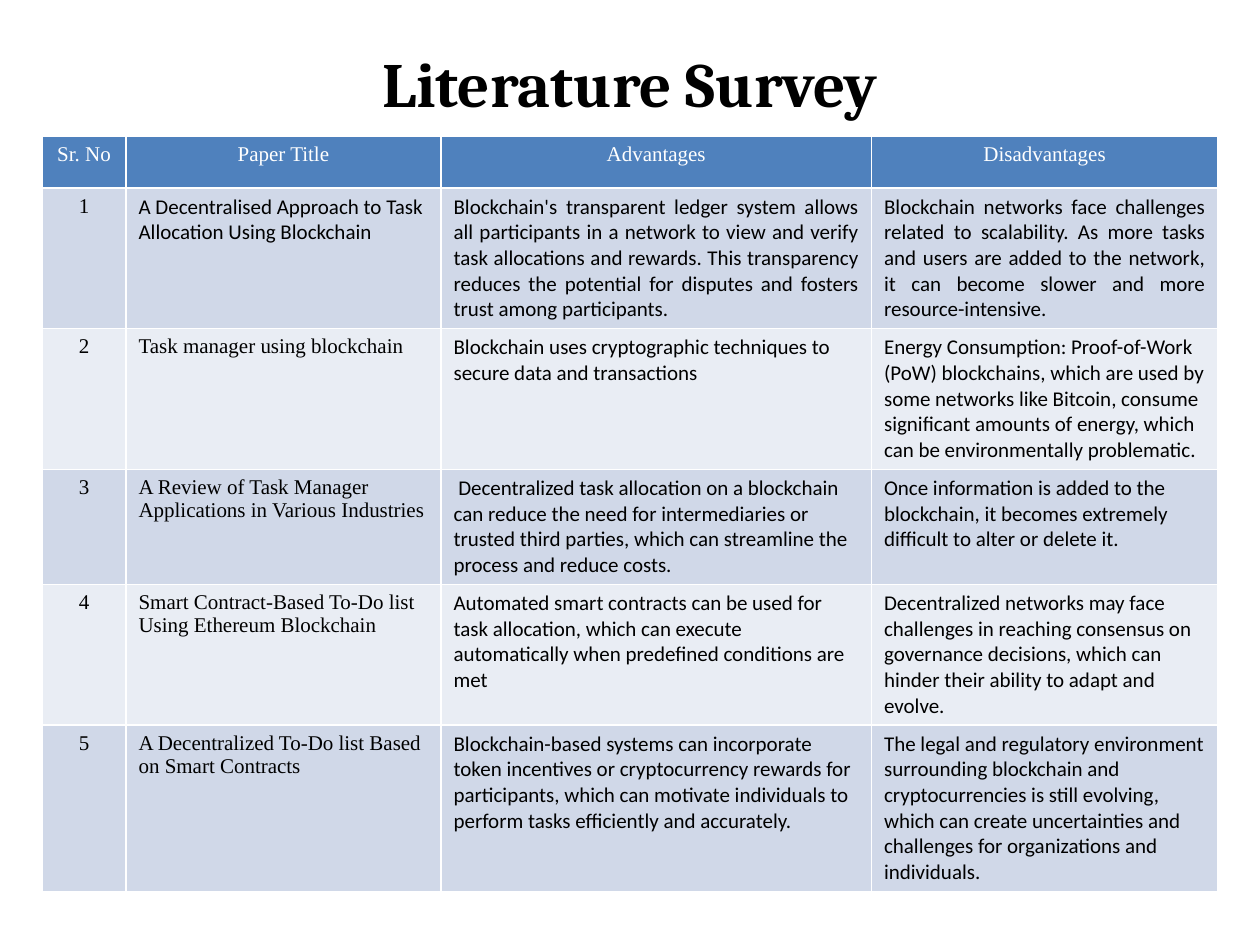
from dataclasses import dataclass

from pptx import Presentation
from pptx.dml.color import RGBColor
from pptx.enum.text import MSO_ANCHOR, PP_ALIGN as Align
from pptx.util import Pt

SERIF = "Times New Roman"
SANS = "Calibri"
BLACK = "000000"
WHITE = "FFFFFF"
HEADER_FILL = "4F81BD"
BAND_FILLS = ("D0D8E8", "E9EDF4")

HEADERS = ("Sr. No", "Paper Title", "Advantages", "Disadvantages")
COLUMN_WIDTHS = (48, 180, 246, 198)
ROW_HEIGHT = 29.5


@dataclass
class Paper:
    title: str
    advantages: tuple[str, ...]
    disadvantages: str
    title_font: str = SERIF
    review_align: Align = Align.LEFT


PAPERS = (
    Paper(
        "A Decentralised Approach to Task Allocation Using Blockchain",
        ("Blockchain's transparent ledger system allows all participants in a network "
         "to view and verify task allocations and rewards. This transparency reduces "
         "the potential for disputes and fosters trust among participants.",),
        "Blockchain networks face challenges related to scalability. As more tasks and "
        "users are added to the network, it can become slower and more "
        "resource-intensive.",
        title_font=SANS,
        review_align=Align.JUSTIFY,
    ),
    Paper(
        "Task manager using blockchain",
        ("Blockchain uses cryptographic techniques to secure data and transactions",),
        "Energy Consumption: Proof-of-Work (PoW) blockchains, which are used by some "
        "networks like Bitcoin, consume significant amounts of energy, which can be "
        "environmentally problematic.",
    ),
    Paper(
        "A Review of Task Manager Applications in Various Industries",
        (" ",
         "Decentralized task allocation on a blockchain can reduce the need for "
         "intermediaries or trusted third parties, which can streamline the process "
         "and reduce costs."),
        "Once information is added to the blockchain, it becomes extremely difficult "
        "to alter or delete it.",
    ),
    Paper(
        "Smart Contract-Based To-Do list Using Ethereum Blockchain",
        ("Automated smart contracts can be used for task allocation, which can execute "
         "automatically when predefined conditions are met",),
        "Decentralized networks may face challenges in reaching consensus on "
        "governance decisions, which can hinder their ability to adapt and evolve.",
    ),
    Paper(
        "A Decentralized To-Do list Based on Smart Contracts",
        ("Blockchain-based systems can incorporate token incentives or cryptocurrency "
         "rewards for participants, which can motivate individuals to perform tasks "
         "efficiently and accurately.",),
        "The legal and regulatory environment surrounding blockchain and "
        "cryptocurrencies is still evolving, which can create uncertainties and "
        "challenges for organizations and individuals.",
    ),
)


def rgb(value: str) -> RGBColor:
    return RGBColor.from_string(value)


def add_run(paragraph, text: str, font: str, size: float, color: str,
            bold: bool = False) -> None:
    run = paragraph.add_run()
    run.text = text
    run.font.name = font
    run.font.size = Pt(size)
    run.font.bold = bold
    run.font.color.rgb = rgb(color)


def fill_cell(cell, texts: tuple[str, ...], font: str, align: Align,
              fill: str, color: str = BLACK) -> None:
    cell.fill.solid()
    cell.fill.fore_color.rgb = rgb(fill)
    paragraph = cell.text_frame.paragraphs[0]
    paragraph.alignment = align
    for text in texts:
        add_run(paragraph, text, font, 12, color)


def add_title(slide, text: str) -> None:
    title = slide.shapes.title
    title.left, title.top, title.width, title.height = Pt(36), Pt(2), Pt(648), Pt(90)
    title.text_frame.vertical_anchor = MSO_ANCHOR.MIDDLE
    paragraph = title.text_frame.paragraphs[0]
    paragraph.alignment = Align.CENTER
    add_run(paragraph, text, "Cambria", 36, BLACK, bold=True)


def add_survey_table(slide) -> None:
    row_count = len(PAPERS) + 1
    frame = slide.shapes.add_table(
        row_count, len(HEADERS), Pt(24), Pt(78),
        Pt(sum(COLUMN_WIDTHS)), Pt(ROW_HEIGHT * row_count))
    table = frame.table
    for column, width in zip(table.columns, COLUMN_WIDTHS):
        column.width = Pt(width)

    for cell, header in zip(table.rows[0].cells, HEADERS):
        fill_cell(cell, (header,), SERIF, Align.CENTER, HEADER_FILL, WHITE)

    for number, paper in enumerate(PAPERS, start=1):
        fill = BAND_FILLS[(number - 1) % 2]
        entries = (
            ((str(number),), SERIF, Align.CENTER),
            ((paper.title,), paper.title_font, Align.LEFT),
            (paper.advantages, SANS, paper.review_align),
            ((paper.disadvantages,), SANS, paper.review_align),
        )
        for cell, (texts, font, align) in zip(table.rows[number].cells, entries):
            fill_cell(cell, texts, font, align, fill)

    # Rows grow with their text, so the frame is taller than the minimum row heights.
    frame.height = Pt(425.5)


def main() -> None:
    presentation = Presentation()
    presentation.slide_width, presentation.slide_height = Pt(720), Pt(540)
    slide = presentation.slides.add_slide(
        presentation.slide_layouts.get_by_name("Title Only"))
    add_title(slide, "Literature Survey")
    add_survey_table(slide)
    presentation.save("out.pptx")


if __name__ == "__main__":
    main()
